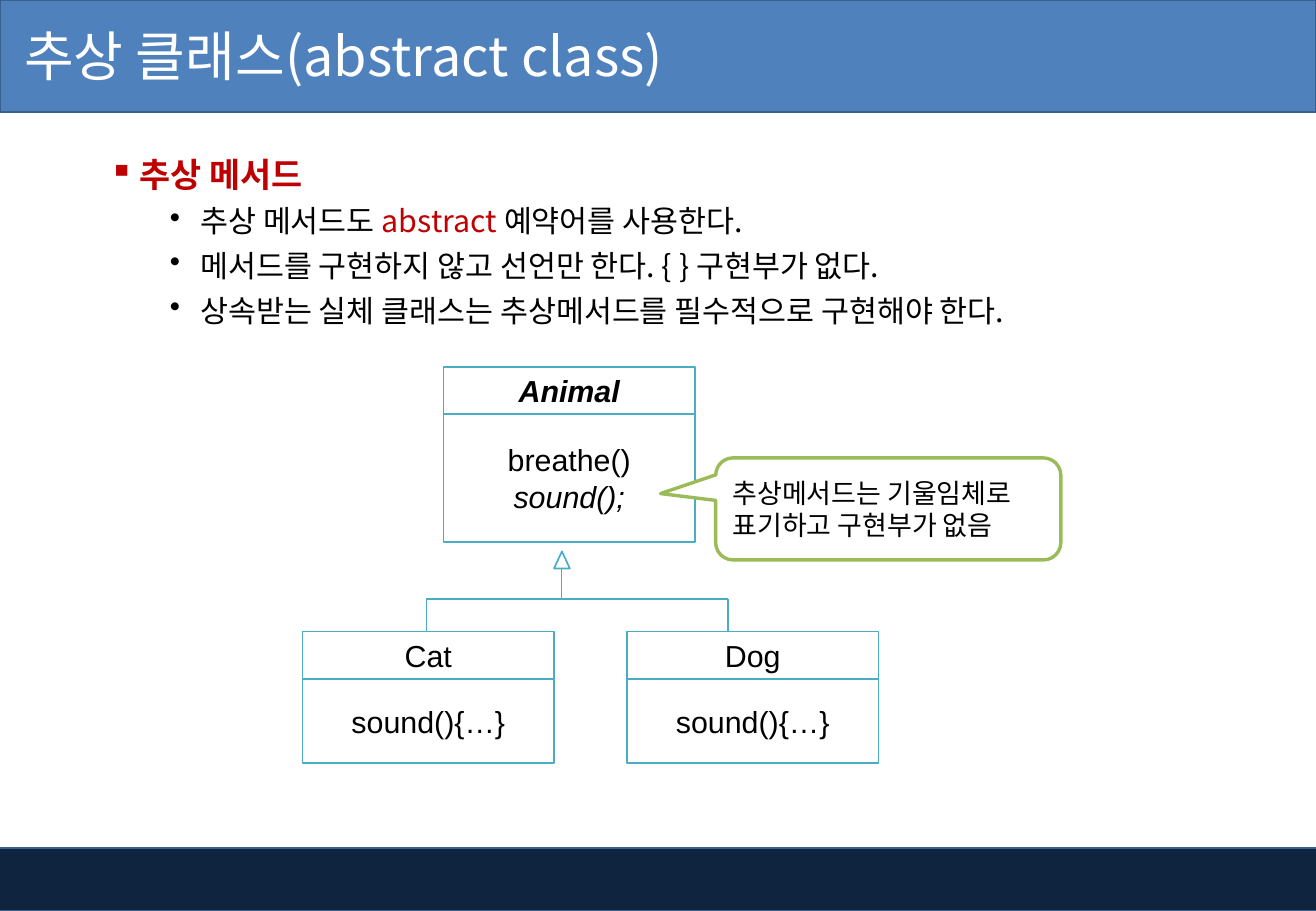
from lxml import etree
from pptx import Presentation
from pptx.dml.color import RGBColor
from pptx.enum import shapes, text
from pptx.oxml import ns
from pptx.util import Pt

PX = 9144
HUES = {
    "white": "FFFFFF", "black": "000000", "red": "C00000",
    "navy": "0F243E", "blue": "4F81BD", "edge": "3A5F8C",
    "teal": "4BACC6", "green": "9BBB59",
}
KOREAN = "Noto Sans CJK KR"
KIND = shapes.MSO_SHAPE
MID = text.MSO_ANCHOR.MIDDLE


def hue(name):
    """Return the named colour."""
    return RGBColor.from_string(HUES[name])


def px(*sizes):
    """Turn px lengths into EMU."""
    return [size * PX for size in sizes]


def style(par, size, color="black", face=KOREAN, bold=False):
    """Set the font of a whole paragraph."""
    font = par.font
    font.name, font.size, font.bold = face, Pt(size), bold
    font.color.rgb = hue(color)
    etree.SubElement(font._rPr, ns.qn("a:ea"), typeface=face)


def shape(slide, kind, box, fill, line, width=1):
    """Add a filled and outlined preset shape."""
    item = slide.shapes.add_shape(kind, *px(*box))
    item.shadow.inherit = False
    item.fill.solid()
    item.fill.fore_color.rgb = hue(fill)
    item.line.color.rgb = hue(line)
    item.line.width = Pt(width)
    return item


def write(item, lines, size, align, **look):
    """Write one paragraph for each line and return them."""
    frame = item.text_frame
    frame.word_wrap = True
    frame.vertical_anchor = MID
    frame.text = "\n".join(lines)
    for par in frame.paragraphs:
        par.alignment = align
        style(par, size, **look)
    return frame.paragraphs


def line(slide, *ends):
    """Draw a thin straight line between two points."""
    item = slide.shapes.add_connector(shapes.MSO_CONNECTOR.STRAIGHT, *px(*ends))
    item.line.color.rgb = hue("teal")
    item.line.width = Pt(1)
    etree.SubElement(item._element.spPr, ns.qn("a:effectLst"))


def bullet(par, mark, left, gap):
    """Give a paragraph a bullet, a hanging indent and space above."""
    props = par._p.get_or_add_pPr()
    props.set("marL", str(left * PX))
    props.set("indent", str(-25 * PX))
    sign = etree.Element(ns.qn("a:buChar"), char=mark)
    props.insert_element_before(sign, "a:defRPr")
    par.space_before = Pt(gap)


def title(slide, words):
    """Add the heading bar and its text."""
    shape(slide, KIND.RECTANGLE, (0, 0, 1083, 92), "blue", "edge")
    item = slide.shapes.add_textbox(*px(0, -2, 678, 94))
    item.text_frame.margin_left = 20 * PX
    write(item, [words], 32, text.PP_ALIGN.LEFT, color="white")


def points(slide, head, rows):
    """Add the bold topic and its bullets, red where a part is marked."""
    frame = slide.shapes.add_textbox(*px(80, 105, 958, 197)).text_frame
    frame.word_wrap = True
    top = frame.paragraphs[0]
    top.add_run().text = head
    style(top, 20, "red", bold=True)
    bullet(top, "▪", 25, 10)
    top.line_spacing = 1.5
    for row in rows:
        par = frame.add_paragraph()
        par.level = 1
        style(par, 18)
        bullet(par, "•", 75, 5)
        for part, mark in row:
            run = par.add_run()
            run.text = part
            if mark:
                run.font.color.rgb = hue("red")


def entity(slide, left, top, name, tall, calls):
    """Draw a class box and return its name and call paragraphs."""
    pars = []
    for y, high, lines in ((top, 39, [name]), (top + 39, tall, calls)):
        item = shape(slide, KIND.RECTANGLE, (left, y, 207, high), "white", "teal")
        pars += write(item, lines, 18, text.PP_ALIGN.CENTER, face="Arial")
    return pars


def tree(slide):
    """Draw the inheritance arrow and its two branches."""
    shape(slide, KIND.ISOSCELES_TRIANGLE, (456, 454, 13, 14), "white", "teal")
    line(slide, 462, 468, 462, 493)
    line(slide, 351, 493, 599, 493)
    for x in (351, 599):
        line(slide, x, 493, x, 520)


def callout(slide, lines):
    """Add the speech bubble."""
    item = shape(slide, KIND.ROUNDED_RECTANGULAR_CALLOUT, (589, 377, 284, 84),
                 "white", "green", 2)
    for i, value in enumerate((-0.66, -0.15, 0.17)):
        item.adjustments[i] = value
    write(item, lines, 16, text.PP_ALIGN.LEFT)


def main():
    """Build and save the slide."""
    deck = Presentation()
    deck.slide_width, deck.slide_height = px(1083, 750)
    slide = deck.slides.add_slide(deck.slide_layouts[6])
    shape(slide, KIND.RECTANGLE, (-4, 698, 1088, 52), "navy", "edge")
    title(slide, "추상 클래스(abstract class)")
    points(slide, "추상 메서드", [
        [("추상 메서드도 ", False), ("abstract ", True),
         ("예약어를 사용한다.", False)],
        [("메서드를 구현하지 않고 선언만 한다. { } 구현부가 없다.", False)],
        [("상속받는 실체 클래스는 추상메서드를 필수적으로 구현해야 한다.", False)],
    ])
    name, _, sound = entity(slide, 365, 302, "Animal", 105,
                            ["breathe()", "sound();"])
    name.font.bold = True
    name.font.italic = sound.font.italic = True
    tree(slide)
    for left, kid in ((249, "Cat"), (516, "Dog")):
        entity(slide, left, 520, kid, 69, ["sound(){…}"])
    callout(slide, ["추상메서드는 기울임체로", "표기하고 구현부가 없음"])
    deck.save("out.pptx")


if __name__ == "__main__":
    main()
